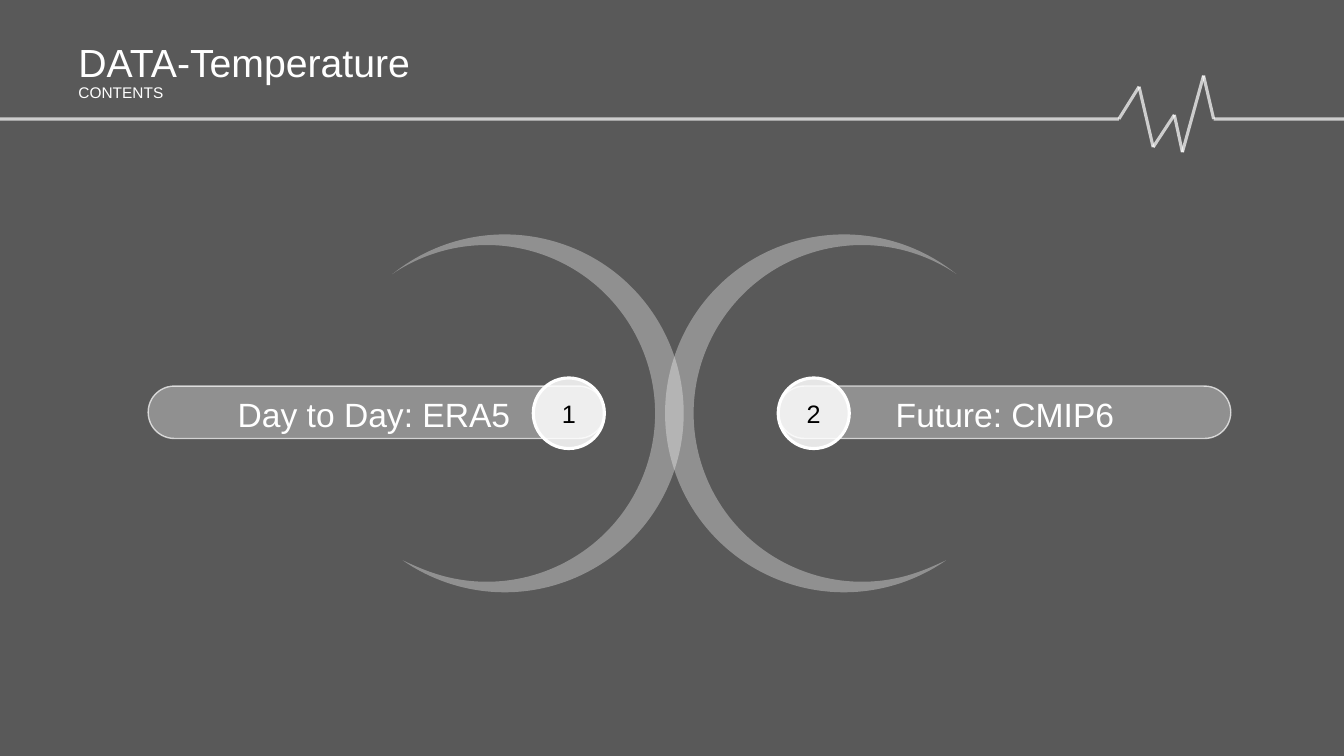
"""Build the temperature data contents slide on a grid of tenth-inch cells."""
from itertools import pairwise
from math import cos, radians, sin, tan

from lxml import etree
from pptx import Presentation
from pptx.dml.color import RGBColor
from pptx.enum.shapes import MSO_CONNECTOR, MSO_SHAPE
from pptx.enum.text import MSO_ANCHOR, PP_ALIGN
from pptx.oxml.ns import qn
from pptx.util import Inches, Pt

CELL = Inches(0.1)
COLUMNS, ROWS = 133.33, 75
STRAIGHT = MSO_CONNECTOR.STRAIGHT
PANEL, PILL, OVAL = MSO_SHAPE.RECTANGLE, MSO_SHAPE.ROUNDED_RECTANGLE, MSO_SHAPE.OVAL
LEFT, CENTER = PP_ALIGN.LEFT, PP_ALIGN.CENTER
MIDDLE = MSO_ANCHOR.MIDDLE

WHITE = RGBColor(0xFF, 0xFF, 0xFF)
MIST = RGBColor(0xFC, 0xFC, 0xFC)
BLACK = RGBColor(0x00, 0x00, 0x00)
FONT = "Arial"

BASELINE = 11.8
PULSE = [(0, BASELINE), (111, BASELINE), (113, 8.6), (114.4, 14.6), (116.5, 11.4),
         (117.3, 15.1), (119.4, 7.5), (120.4, BASELINE), (COLUMNS, BASELINE)]
MIRROR_SUM = 133.8
CRESCENT_TILT = 17.8
OUTER_ARC = (50, 41.45, 17.75, (-146.7, -90, 0, 90, 107))
INNER_ARC = (48.3, 42, 16.7, (101.6, 90, 0, -90, -141.8))


def cells(*lengths):
    """Convert grid cells to slide units."""
    return [round(length * CELL) for length in lengths]


def set_opacity(shape, place, percent):
    """Set the opacity of the solid colour found at a place in the shape properties."""
    steps = "/".join(qn(tag) for tag in (*place, "a:solidFill", "a:srgbClr"))
    colour = shape._element.spPr.find(steps)
    etree.SubElement(colour, qn("a:alpha"), val=str(percent * 1000))


def paint(shape, colour, opacity):
    """Give a shape a translucent fill, without shadow or outline."""
    shape.shadow.inherit = False
    shape.fill.solid()
    shape.fill.fore_color.rgb = colour
    set_opacity(shape, [], opacity)
    shape.line.fill.background()


def write(frame, text, size, colour, align):
    """Write one run in the first paragraph of a frame."""
    paragraph = frame.paragraphs[0]
    paragraph.alignment = align
    run = paragraph.add_run()
    run.text = text
    run.font.name = FONT
    run.font.size = Pt(size)
    run.font.color.rgb = colour
    return paragraph


def add_label(slide, box, text, size, align=LEFT):
    """Add a white text box."""
    frame = slide.shapes.add_textbox(*cells(*box)).text_frame
    frame.word_wrap = True
    return write(frame, text, size, WHITE, align)


def add_pulse(slide):
    """Draw the heartbeat rule under the heading."""
    for start, end in pairwise(PULSE):
        beat = slide.shapes.add_connector(STRAIGHT, *cells(*start, *end))
        beat.line.color.rgb = WHITE
        beat.line.width = Pt(2.25)
        set_opacity(beat, ["a:ln"], 70)
        etree.SubElement(beat._element.spPr, qn("a:effectLst"))


def arc_curves(x, y, radius, angles):
    """List start, two control points and end of each cubic curve along an arc."""
    curves = []
    for start, end in pairwise(map(radians, angles)):
        pull = 4 / 3 * tan((end - start) / 4)
        curves.append([
            (x + radius * (cos(angle) - reach * sin(angle)),
             y + radius * (sin(angle) + reach * cos(angle)))
            for angle, reach in ((start, 0), (start, pull), (end, -pull), (end, 0))])
    return curves


def add_crescent(slide, mirrored):
    """Draw a translucent crescent, opening left or mirrored."""
    curves = [[cells(MIRROR_SUM - x if mirrored else x, y) for x, y in curve]
              for curve in arc_curves(*OUTER_ARC) + arc_curves(*INNER_ARC)]
    builder = slide.shapes.build_freeform(*curves[0][0])
    builder.add_line_segments([curve[-1] for curve in curves], close=True)
    crescent = builder.convert_to_shape()
    segments = list(crescent._element.spPr.iter(qn("a:lnTo")))
    for segment, curve in zip(segments, curves):
        bend = etree.Element(qn("a:cubicBezTo"))
        for x, y in curve[1:]:
            etree.SubElement(bend, qn("a:pt"), x=str(x - crescent.left),
                             y=str(y - crescent.top))
        segment.getparent().replace(segment, bend)
    crescent.rotation = -CRESCENT_TILT if mirrored else CRESCENT_TILT
    paint(crescent, MIST, 34)


def add_outlined(slide, kind, box, colour, opacity, line_width):
    """Add a translucent shape with a white outline."""
    shape = slide.shapes.add_shape(kind, *cells(*box))
    paint(shape, colour, opacity)
    shape.line.color.rgb = WHITE
    shape.line.width = Pt(line_width)
    return shape


def add_topic(slide, number, title, bar_x, bar_width, badge_x, title_x):
    """Add a rounded bar with its numbered badge and title."""
    bar = add_outlined(slide, PILL, (bar_x, 38.3, bar_width, 5.2), MIST, 34, 1)
    bar.adjustments[0] = 0.5
    set_opacity(bar, ["a:ln"], 70)
    badge = add_outlined(slide, OVAL, (badge_x, 37.5, 7.05, 7), WHITE, 85, 2.25)
    badge.text_frame.vertical_anchor = MIDDLE
    write(badge.text_frame, number, 18, BLACK, CENTER)
    add_label(slide, (title_x, 38.6, 45.6, 5), title, 24, CENTER)


def main():
    """Build and save the slide."""
    deck = Presentation()
    deck.slide_width, deck.slide_height = cells(COLUMNS, ROWS)
    slide = deck.slides.add_slide(deck.slide_layouts[6])
    slide.background.fill.solid()
    slide.background.fill.fore_color.rgb = WHITE
    shade = slide.shapes.add_shape(PANEL, *cells(0, 0, COLUMNS, ROWS))
    paint(shade, BLACK, 65)

    add_pulse(slide)
    add_label(slide, (6.8, 3.3, 38.8, 10.4), "DATA-Temperature", 28)
    subtitle = add_label(slide, (6.8, 7.5, 43.5, 3), "CONTENTS", 11)
    subtitle.line_spacing = 1.14
    for mirrored in (False, True):
        add_crescent(slide, mirrored)
    add_topic(slide, "1", "Day to Day: ERA5", 14.7, 45.3, 52.9, 14.3)
    add_topic(slide, "2", "Future: CMIP6", 77.2, 44.9, 77.2, 76.9)
    deck.save("out.pptx")


if __name__ == "__main__":
    main()
